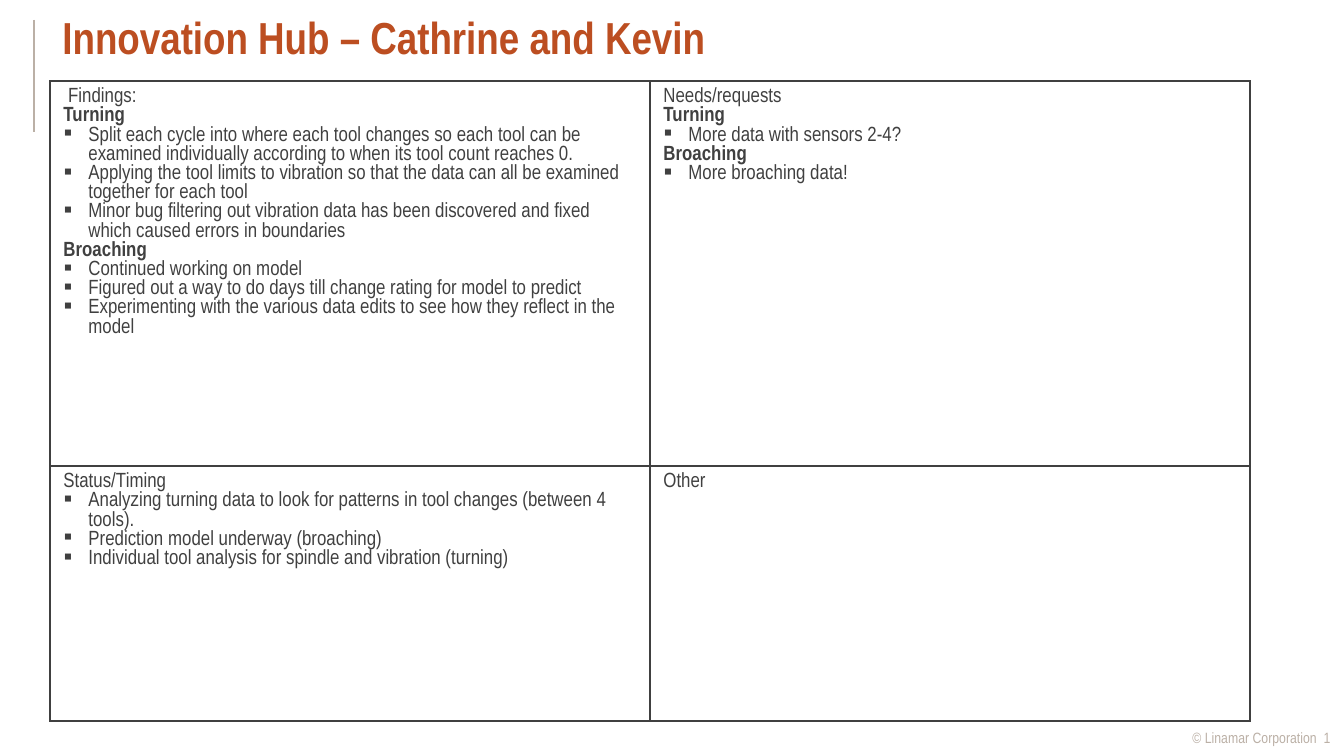
"""Build the Innovation Hub status slide with its four-field table."""
import pptx
import pptx.util
import pptx.dml.color
import pptx.enum.shapes
import pptx.enum.text
import pptx.oxml
import pptx.oxml.ns
from lxml import etree

SCALE = 914400 / 134.4
FONT = "Arial Narrow"
COLORS = {"title": "BC4E21", "text": "404040", "muted": "BBB0A6", "white": "FFFFFF"}
ALIGN = pptx.enum.text.PP_ALIGN
SHAPE = pptx.enum.shapes.MSO_SHAPE


def px(n):
    return pptx.util.Emu(round(n * SCALE))


def write(para, text, size, color, bold=False):
    run = para.add_run()
    run.text = text
    run.font.name = FONT
    run.font.size = pptx.util.Pt(size)
    run.font.bold = bold
    run.font.color.rgb = pptx.dml.color.RGBColor.from_string(COLORS[color])


deck = pptx.Presentation()
deck.slide_width, deck.slide_height = px(1344), px(756)
slide = deck.slides.add_slide(deck.slide_layouts[5])

for kind, left, width in ((SHAPE.RECTANGLE, 1064, 280), (SHAPE.RIGHT_TRIANGLE, 1040, 24)):
    tab = slide.shapes.add_shape(kind, px(left), px(730), px(width), px(26))
    tab.shadow.inherit = False
    tab.fill.solid()
    tab.fill.fore_color.rgb = pptx.dml.color.RGBColor.from_string(COLORS["white"])
    tab.line.fill.background()
tab.element.spPr.xfrm.set("flipH", "1")

rule = slide.shapes.add_connector(
    pptx.enum.shapes.MSO_CONNECTOR.STRAIGHT, px(34), px(20), px(34), px(132))
rule.line.width = pptx.util.Pt(1)
rule.line.color.rgb = pptx.dml.color.RGBColor.from_string(COLORS["muted"])
etree.SubElement(rule.element.spPr, pptx.oxml.ns.qn("a:effectLst"))

foot = slide.shapes.add_textbox(px(1075), px(722), px(269), px(32))
foot.text_frame.word_wrap = True
para = foot.text_frame.paragraphs[0]
para.alignment = ALIGN.RIGHT
write(para, "© Linamar Corporation  1", 8, "muted")

title = slide.shapes.title
title.left, title.top, title.width, title.height = px(49), px(-8), px(1277), px(89)
frame = title.text_frame
frame.auto_size = pptx.enum.text.MSO_AUTO_SIZE.NONE
frame.vertical_anchor = pptx.enum.text.MSO_ANCHOR.MIDDLE
frame.paragraphs[0].alignment = ALIGN.LEFT
write(frame.paragraphs[0], "Innovation Hub – Cathrine and Kevin", 24, "title", True)

cells = [
    [
        [
            ("plain", " Findings:"),
            ("head", "Turning"),
            ("item", "Split each cycle into where each tool changes so each tool can be "
                     "examined individually according to when its tool count reaches 0."),
            ("item", "Applying the tool limits to vibration so that the data can all be "
                     "examined together for each tool"),
            ("item", "Minor bug filtering out vibration data has been discovered and fixed "
                     "which caused errors in boundaries"),
            ("head", "Broaching"),
            ("item", "Continued working on model"),
            ("item", "Figured out a way to do days till change rating for model to predict"),
            ("item", "Experimenting with the various data edits to see how they reflect "
                     "in the model"),
        ],
        [
            ("plain", "Needs/requests"),
            ("head", "Turning"),
            ("item", "More data with sensors 2-4?"),
            ("head", "Broaching"),
            ("item", "More broaching data!"),
        ],
    ],
    [
        [
            ("plain", "Status/Timing"),
            ("item", "Analyzing turning data to look for patterns in tool changes "
                     "(between 4 tools)."),
            ("item", "Prediction model underway (broaching)"),
            ("item", "Individual tool analysis for spindle and vibration (turning)"),
        ],
        [("plain", "Other")],
    ],
]

table = slide.shapes.add_table(2, 2, px(50), px(81), px(1200), px(640)).table
table.first_row = table.horz_banding = False
for col in table.columns:
    col.width = px(600)
for row, height in zip(table.rows, (385, 255)):
    row.height = px(height)

for r, row in enumerate(cells):
    for c, lines in enumerate(row):
        cell = table.cell(r, c)
        props = cell._tc.get_or_add_tcPr()
        for side in ("lnL", "lnR", "lnT", "lnB"):
            props.append(pptx.oxml.parse_xml(
                f'<a:{side} {pptx.oxml.ns.nsdecls("a")} w="12700"><a:solidFill>'
                f'<a:srgbClr val="{COLORS["text"]}"/></a:solidFill></a:{side}>'))
        cell.fill.solid()
        cell.fill.fore_color.rgb = pptx.dml.color.RGBColor.from_string(COLORS["white"])
        for n, (kind, text) in enumerate(lines):
            para = cell.text_frame.add_paragraph() if n else cell.text_frame.paragraphs[0]
            if kind == "item":
                form = para._p.get_or_add_pPr()
                form.set("marL", str(px(25)))
                form.set("indent", str(-px(25)))
                etree.SubElement(form, pptx.oxml.ns.qn("a:buFont"), typeface="Wingdings")
                etree.SubElement(form, pptx.oxml.ns.qn("a:buChar"), char="§")
            para.line_spacing = pptx.util.Pt(10.3)
            write(para, text, 11, "text", kind == "head")

deck.save("out.pptx")
